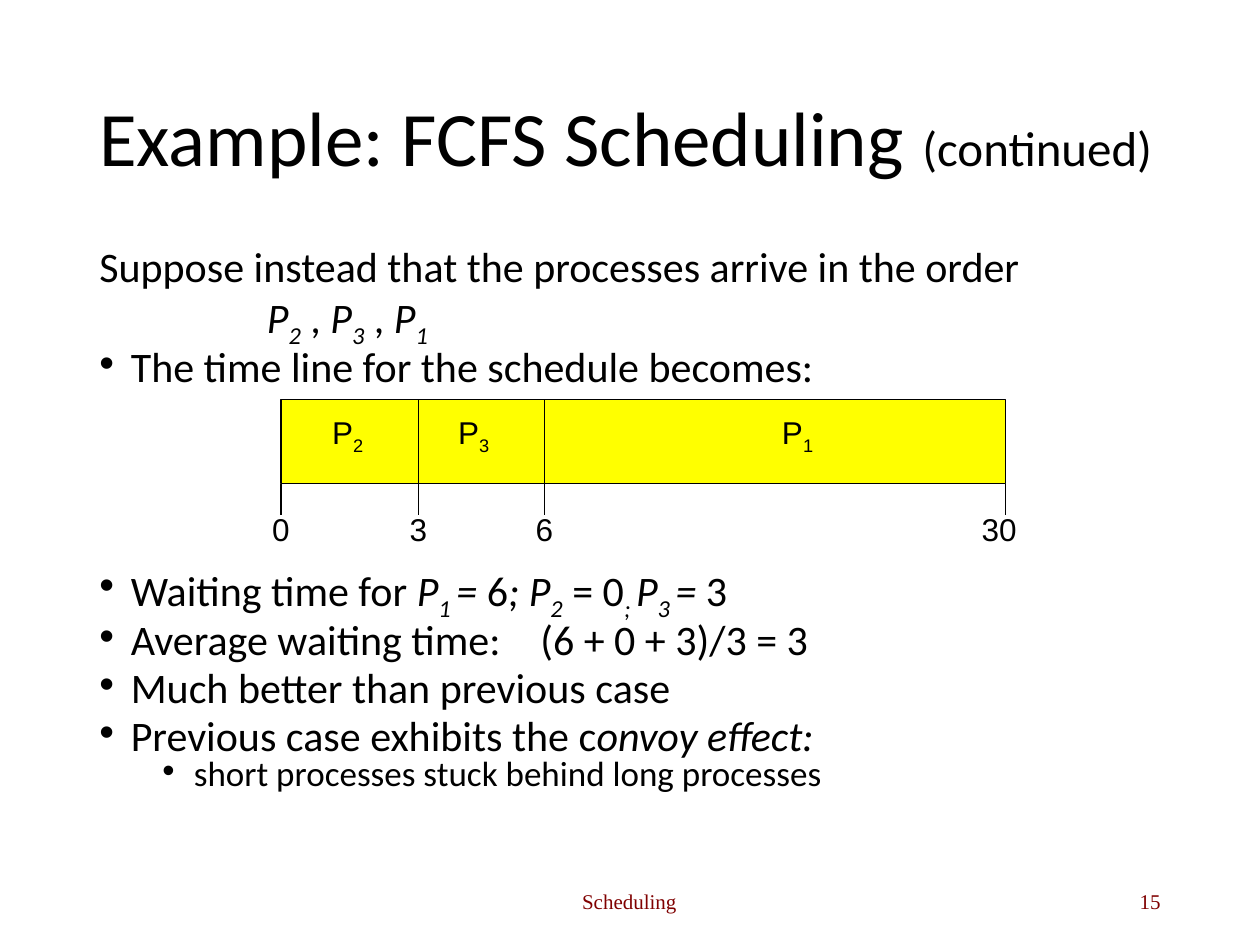
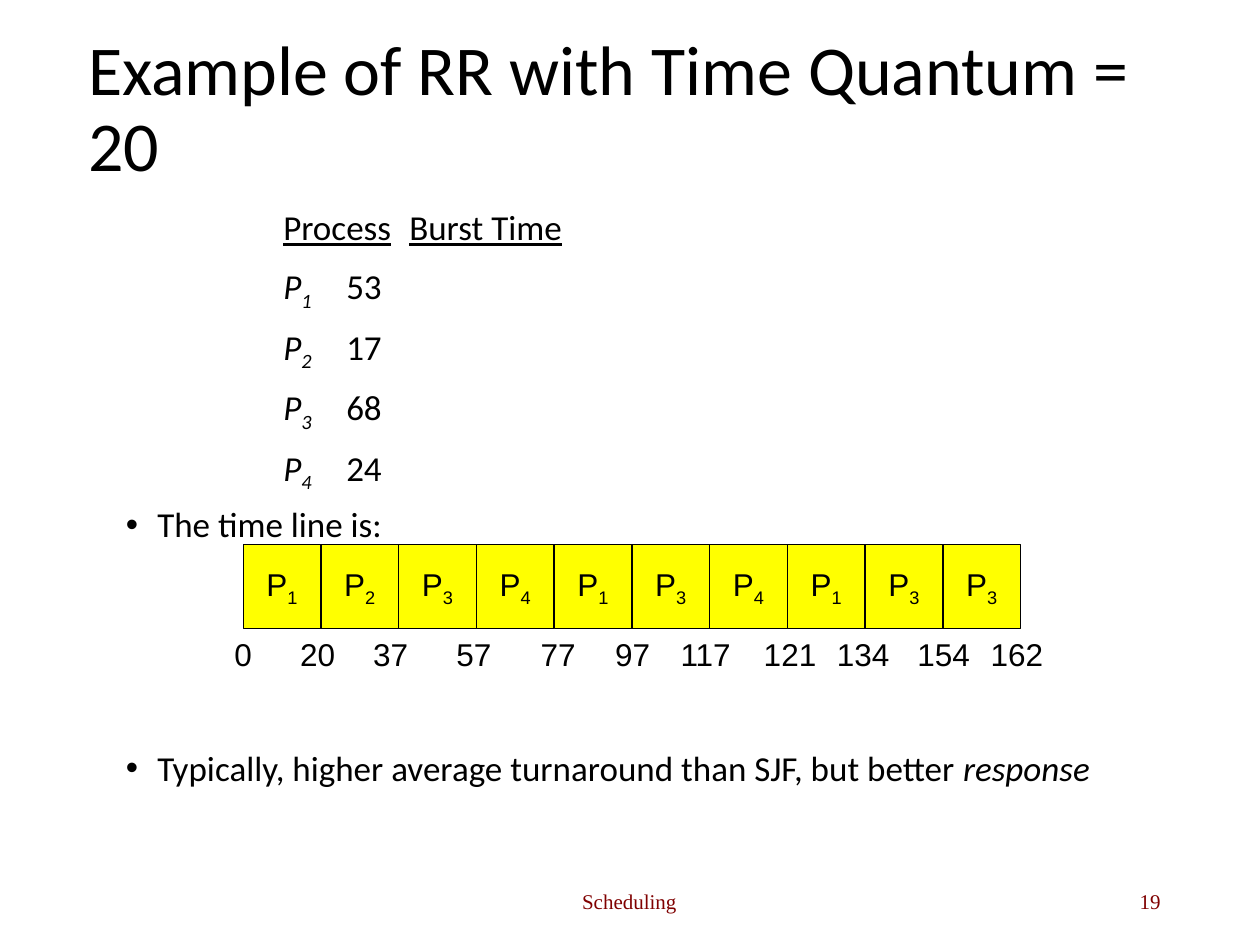
import pptx
import pptx.dml.color
import pptx.enum.shapes
import pptx.enum.text
import pptx.oxml
import pptx.oxml.ns
import pptx.util
from pptx.util import Inches

COLORS = {"text": "000000", "footer": "800000", "bar": "FFFF00", "line": "000000"}
ALIGN = pptx.enum.text.PP_ALIGN
MIDDLE = pptx.enum.text.MSO_ANCHOR.MIDDLE
TOP = pptx.enum.text.MSO_ANCHOR.TOP
TITLE = {"name": "Calibri", "size": 44}
BODY = {"name": "Calibri", "size": 24}
SMALL_BODY = {"name": "Calibri", "size": 20}
CHART = {"name": "Arial", "size": 18}
FOOTER = {"name": "Times New Roman", "size": 12, "color": "footer"}
BAR_HEIGHT = 0.67


def rgb(name):
    return pptx.dml.color.RGBColor.from_string(COLORS[name])


def process(number, style=""):
    """Runs for a process name with its number as a subscript."""
    return [("P", style), (str(number), style + "s")]


def add_runs(paragraph, runs, font):
    """Add (text, style) runs; style letters: i italic, u underline, s subscript."""
    for text, style in runs:
        run = paragraph.add_run()
        run.text = text
        values = {
            "name": font["name"],
            "size": pptx.util.Pt(font["size"]),
            "italic": "i" in style,
            "underline": "u" in style,
        }
        for key, value in values.items():
            setattr(run.font, key, value)
        run.font.color.rgb = rgb(font.get("color", "text"))
        if "s" in style:
            run.font._element.set("baseline", "-25000")


def set_indent(paragraph, left, hanging=0, bullet=False, tab=None):
    properties = paragraph._p.get_or_add_pPr()
    properties.set("marL", str(Inches(left)))
    properties.set("indent", str(-Inches(hanging)))
    namespace = pptx.oxml.ns.nsdecls("a")
    if bullet:
        for tag in ('buFont typeface="Arial"', 'buChar char="•"'):
            properties.append(pptx.oxml.parse_xml(f"<a:{tag} {namespace}/>"))
    if tab:
        properties.append(pptx.oxml.parse_xml(
            f'<a:tabLst {namespace}><a:tab pos="{Inches(tab)}" algn="l"/></a:tabLst>'))


def add_text_box(slide, box, anchor=MIDDLE, wrap=True):
    frame = slide.shapes.add_textbox(*map(Inches, box)).text_frame
    frame.word_wrap = wrap
    frame.vertical_anchor = anchor
    return frame


def add_line_of_text(slide, box, runs, font, align=ALIGN.CENTER, wrap=True):
    paragraph = add_text_box(slide, box, wrap=wrap).paragraphs[0]
    paragraph.alignment = align
    add_runs(paragraph, runs, font)
    return paragraph


def add_title(slide, box, text, size, suffix=None):
    paragraph = add_line_of_text(slide, box, [(text, "")], {**TITLE, "size": size}, ALIGN.LEFT)
    paragraph.line_spacing = 0.9
    if suffix:
        add_runs(paragraph, [(suffix, "")], {**TITLE, "size": 28})


def add_footer(slide, number):
    add_line_of_text(slide, (3.31, 6.95, 3.37, 0.4), [("Scheduling", "")], FOOTER)
    add_line_of_text(slide, (7.06, 6.95, 2.25, 0.4), [(str(number), "")], FOOTER, ALIGN.RIGHT)


def add_body(slide, box, items, font, spacing):
    """Add (runs, indent, overrides) paragraphs to one text box."""
    frame = add_text_box(slide, box, TOP)
    for index, (runs, indent, overrides) in enumerate(items):
        paragraph = frame.paragraphs[0] if index == 0 else frame.add_paragraph()
        values = {"line_spacing": spacing, "space_before": pptx.util.Pt(10), **overrides}
        for key, value in values.items():
            setattr(paragraph, key, value)
        set_indent(paragraph, **indent)
        add_runs(paragraph, runs, font)
    return frame


def add_bar(slide, box):
    bar = slide.shapes.add_shape(
        pptx.enum.shapes.MSO_SHAPE.RECTANGLE, *map(Inches, box))
    bar.shadow.inherit = False
    bar.fill.solid()
    bar.fill.fore_color.rgb = rgb("bar")
    bar.line.color.rgb = rgb("line")
    bar.line.width = pptx.util.Pt(0.75)
    return bar


def add_vertical_line(slide, x, top, bottom):
    line = slide.shapes.add_connector(
        pptx.enum.shapes.MSO_CONNECTOR.STRAIGHT, *map(Inches, (x, top, x, bottom)))
    line.line.color.rgb = rgb("line")
    line.line.width = pptx.util.Pt(0.75)
    line._element.spPr.append(
        pptx.oxml.parse_xml(f"<a:effectLst {pptx.oxml.ns.nsdecls('a')}/>"))


def add_chart_label(slide, center, top, height, runs):
    width = 0.2 + 0.14 * sum(len(text) for text, _ in runs)
    add_line_of_text(
        slide, (center - width / 2, top, width, height), runs, CHART, wrap=False)


def add_split_timeline(slide, left, top, width, ticks, names):
    """One bar divided by lines; ticks and names give offsets from its left edge."""
    bottom = top + BAR_HEIGHT
    add_bar(slide, (left, top, width, BAR_HEIGHT))
    for offset, number in names:
        add_chart_label(slide, left + offset, top + 0.06, 0.44, process(number))
    for offset, time in ticks:
        x = left + offset
        if 0 < offset < width:
            add_vertical_line(slide, x, top, bottom)
        add_vertical_line(slide, x, bottom, bottom + 0.25)
        add_chart_label(slide, x - (0.05 if time == 30 else 0), top + 0.83, 0.4,
                        [(str(time), "")])


def add_cell_timeline(slide, left, top, width, numbers, ticks):
    """Equal cells, with times centred at the given offsets below them."""
    cell_width = width / len(numbers)
    for index, number in enumerate(numbers):
        cell = add_bar(slide, (left + index * cell_width, top, cell_width, BAR_HEIGHT))
        frame = cell.text_frame
        frame.word_wrap = False
        frame.vertical_anchor = MIDDLE
        frame.paragraphs[0].alignment = ALIGN.CENTER
        add_runs(frame.paragraphs[0], process(number), CHART)
    for offset, time in ticks:
        add_chart_label(slide, left + offset, top + BAR_HEIGHT, 0.4, [(str(time), "")])


BULLET = {"left": 0.25, "hanging": 0.25, "bullet": True}
FLUSH = {"left": 0.25, "hanging": 0.25}


def build_fcfs_slide(slide):
    left, width = 0.69, 8.63
    add_title(slide, (left, 0.4, width, 1.45), "Example: FCFS Scheduling ", 44, "(continued)")
    comma = [(" , ", "")]
    add_body(slide, (left, 2, width, 1.15), [
        ([("Suppose instead that the processes arrive in the order", "")], FLUSH, {}),
        (process(2, "i") + comma + process(3, "i") + comma + process(1, "i"),
         {"left": 1.33}, {}),
        ([("The time line for the schedule becomes:", "")], BULLET, {}),
    ], BODY, 0.6)
    waiting = [("Waiting time for ", ""), ("P", "i"), ("1 ", "is"), ("=", "i"), (" 6", ""),
               ("; P", "i"), ("2", "is"), (" = 0", ""), ("; ", "is"), ("P", "i"),
               ("3 ", "is"), ("= ", "i"), ("3", "")]
    results = add_body(slide, (left, 4.55, width, 2.2), [
        (waiting, BULLET, {}),
        ([("Average waiting time:\t(6 + 0 + 3)/3 = 3", "")], {**BULLET, "tab": 3.16}, {}),
        ([("Much better than previous case", "")], BULLET, {}),
        ([("Previous case exhibits the c", ""), ("onvoy effect:", "i")], BULLET, {}),
    ], BODY, 0.6)
    detail = results.add_paragraph()
    detail.level = 1
    detail.line_spacing = 0.6
    detail.space_before = pptx.util.Pt(5)
    set_indent(detail, 0.75, 0.25, True)
    add_runs(detail, [("short processes stuck behind long processes", "")], SMALL_BODY)
    add_split_timeline(slide, 2.23, 3.17, 5.75,
                       ticks=[(0, 0), (1.09, 3), (2.09, 6), (5.75, 30)],
                       names=[(0.53, 2), (1.53, 3), (4.1, 1)])
    add_footer(slide, 15)


def build_round_robin_slide(slide):
    left, width = 0.9, 8.04
    add_title(slide, (0.6, 0.42, 8.81, 0.92), "Example of RR with Time Quantum = 20", 40)
    columns = {"left": 1.25, "tab": 1}
    heading = [("Process", "u"), ("\t", ""), ("Burst Time", "u")]
    bursts = [53, 17, 68, 24]
    rows = [(process(number, "i") + [(f"\t{burst}", "")], columns, {})
            for number, burst in enumerate(bursts, 1)]
    add_body(slide, (left, 1.65, width, 2.7), [
        (heading, columns, {"line_spacing": 0.8}),
        *rows,
        ([("The time line is:", "")], BULLET, {}),
    ], SMALL_BODY, 0.9)
    add_body(slide, (left, 5.91, width, 0.6), [
        ([("Typically, higher average turnaround than SJF, but better ", ""),
          ("response", "i")], BULLET, {}),
    ], SMALL_BODY, 0.9)
    times = [0, 20, 37, 57, 77, 97, 117, 121, 134, 154, 162]
    offsets = [0, 0.59, 1.17, 1.83, 2.5, 3.09, 3.67, 4.34, 4.92, 5.56, 6.14]
    add_cell_timeline(slide, 1.93, 4.32, 6.17, [1, 2, 3, 4, 1, 3, 4, 1, 3, 3],
                      zip(offsets, times))
    add_footer(slide, 19)


def main():
    presentation = pptx.Presentation()
    presentation.slide_width = Inches(10)
    presentation.slide_height = Inches(7.5)
    for build in (build_fcfs_slide, build_round_robin_slide):
        build(presentation.slides.add_slide(presentation.slide_layouts[6]))
    presentation.save("out.pptx")


if __name__ == "__main__":
    main()
